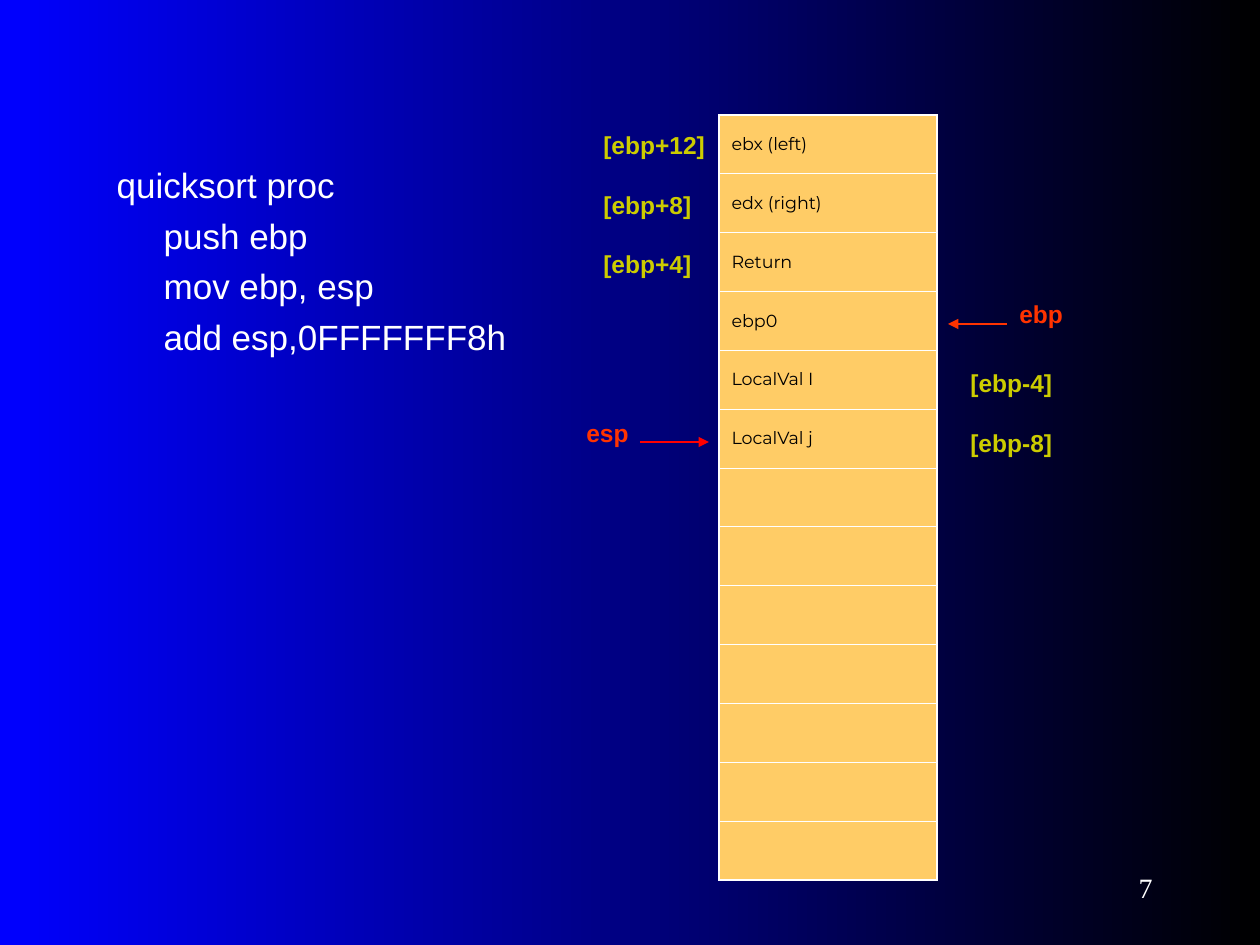
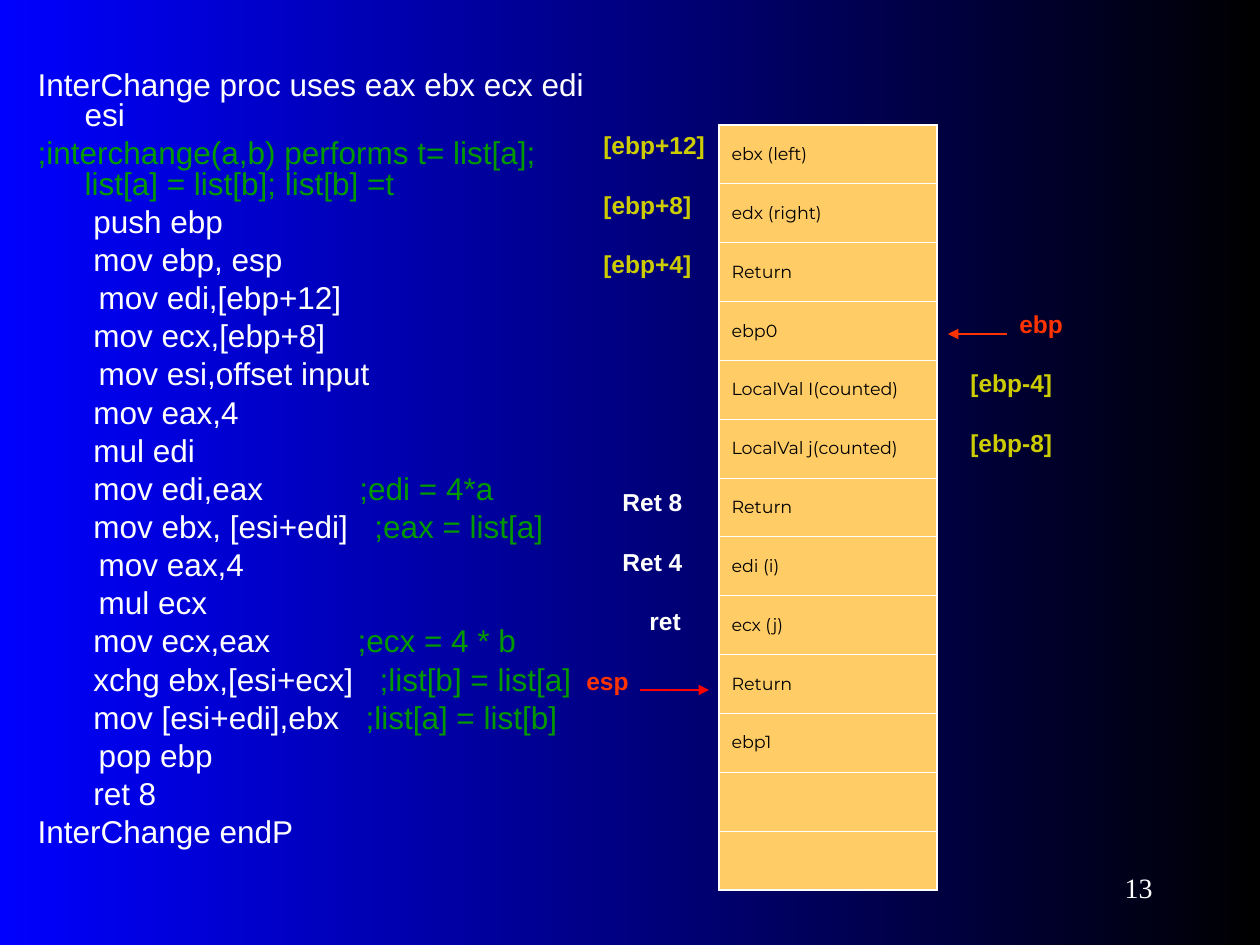
from typing import Any, NamedTuple

from lxml import etree
from pptx import Presentation
from pptx.dml.color import RGBColor
from pptx.enum.shapes import MSO_CONNECTOR
from pptx.enum.text import MSO_ANCHOR, MSO_AUTO_SIZE, PP_ALIGN
from pptx.oxml.ns import qn
from pptx.util import Emu, Pt

# Shared look
PX = 914400 / 126
WHITE = RGBColor(0xFF, 0xFF, 0xFF)
BLACK = RGBColor(0, 0, 0)
BLUE = RGBColor(0, 0, 0xFF)
GOLD = RGBColor(0xFF, 0xCC, 0x66)
OLIVE = RGBColor(0xCC, 0xCC, 0)
ORANGE = RGBColor(0xFF, 0x33, 0)
RED = RGBColor(0xFF, 0, 0)
GREEN = RGBColor(0, 0x99, 0)
STRAIGHT = MSO_CONNECTOR.STRAIGHT
MIDDLE, TOP = MSO_ANCHOR.MIDDLE, MSO_ANCHOR.TOP
RIGHT, LEFT = PP_ALIGN.RIGHT, PP_ALIGN.LEFT
FIXED = MSO_AUTO_SIZE.NONE
TAG = {"name": "Arial", "size": Pt(14), "bold": True}
CELL = {"name": "Montserrat", "size": Pt(10)}
PAGE = {"name": "Times New Roman", "size": Pt(16)}

# Stack grid
ROWS, STACK_X, STACK_W, STACK_H = 13, 719, 218, 765
TAG_Y, TAG_H = 115, 67
HANG, TAB, TABS = 47, 126, 8


class Label(NamedTuple):
    text: str
    left: int
    width: int
    row: int
    color: RGBColor


class Line(NamedTuple):
    code: str
    note: str = ""


class Page(NamedTuple):
    number: str
    box: tuple[int, int, int, int]
    size: int
    before: float
    pitch: float
    lines: list[Line]
    top: int
    cells: list[str]
    ebp: int
    esp: int
    labels: list[Label]


SHARED = [
    Label("[ebp+12]", 591, 166, 0, OLIVE),
    Label("[ebp+8]", 591, 118, 1, OLIVE),
    Label("[ebp+4]", 591, 137, 2, OLIVE),
    Label("[ebp-4]", 958, 118, 4, OLIVE),
    Label("[ebp-8]", 958, 149, 5, OLIVE),
]
RETURNS = [
    Label("Ret 8", 610, 110, 6, WHITE),
    Label("Ret 4", 610, 110, 7, WHITE),
    Label("ret", 637, 60, 8, WHITE),
]
FRAME = ["ebx (left)", "edx (right)", "Return", "ebp0"]

PAGES = [
    Page("7", (104, 157, 515, 620), 20, 5, 1.0, [
        Line("quicksort proc"),
        Line("\tpush ebp"),
        Line("\tmov ebp, esp"),
        Line("\tadd esp,0FFFFFFF8h"),
    ], 115, FRAME + ["LocalVal I", "LocalVal j"], 284, 403, SHARED),
    Page("13", (25, 66, 595, 843), 18, 4.5, 0.8, [
        Line("InterChange proc uses eax ebx ecx edi esi"),
        Line("", ";interchange(a,b) performs t= list[a]; "
                 "list[a] = list[b]; list[b] =t"),
        Line("\t push ebp"),
        Line("\t mov ebp, esp"),
        Line("       mov edi,[ebp+12]"),
        Line("\t mov ecx,[ebp+8]"),
        Line("       mov esi,offset input"),
        Line("\t mov eax,4"),
        Line("\t mul edi"),
        Line("\t mov edi,eax           ", ";edi = 4*a"),
        Line("\t mov ebx, [esi+edi]   ", ";eax = list[a]"),
        Line("       mov eax,4"),
        Line("       mul ecx"),
        Line("\t mov ecx,eax          ", ";ecx = 4 * b"),
        Line("\t xchg ebx,[esi+ecx]   ", ";list[b] = list[a]"),
        Line("\t mov [esi+edi],ebx   ", ";list[a] = list[b]"),
        Line("       pop ebp"),
        Line("\t ret 8"),
        Line("InterChange endP"),
    ], 125, FRAME + ["LocalVal I(counted)", "LocalVal j(counted)", "Return",
                     "edi (i)", "ecx (j)", "Return", "ebp1"],
         294, 651, SHARED + RETURNS),
]


def px(n: float) -> Emu:
    return Emu(round(n * PX))


def put(item: Any, vals: dict[str, Any]) -> None:
    for key, val in vals.items():
        setattr(item, key, val)


def write(par: Any, text: str, look: dict[str, Any], color: RGBColor) -> None:
    run = par.add_run()
    run.text = text
    put(run.font, look)
    run.font.color.rgb = color


# Code listing in the body placeholder
def listing(slide: Any, page: Page) -> None:
    slide.shapes.title.element.getparent().remove(slide.shapes.title.element)
    body = slide.placeholders[1]
    put(body, dict(zip(("left", "top", "width", "height"), map(px, page.box))))
    frame = body.text_frame
    put(frame, {"word_wrap": True, "auto_size": FIXED, "vertical_anchor": TOP})
    look = {"name": "Arial", "size": Pt(page.size)}
    for i, line in enumerate(page.lines):
        par = frame.add_paragraph() if i else frame.paragraphs[0]
        props = par._p.get_or_add_pPr()
        props.set("marL", str(px(HANG)))
        props.set("indent", str(px(-HANG)))
        etree.SubElement(props, qn("a:buNone"))
        tabs = etree.SubElement(props, qn("a:tabLst"))
        for n in range(TABS):
            etree.SubElement(tabs, qn("a:tab"), pos=str(px(n * TAB)), algn="l")
        put(par, {"alignment": LEFT, "line_spacing": page.pitch,
                  "space_before": Pt(page.before if i else 0)})
        for text, color in ((line.code, WHITE), (line.note, GREEN)):
            if text:
                write(par, text, look, color)


# Stack table
def edge(props: Any, side: str, width: float) -> None:
    line = etree.SubElement(props, qn("a:ln" + side), w=str(Pt(width)))
    fill = etree.SubElement(line, qn("a:solidFill"))
    etree.SubElement(fill, qn("a:srgbClr"), val=str(WHITE))


def stack(slide: Any, page: Page) -> None:
    table = slide.shapes.add_table(ROWS, 1, px(STACK_X), px(page.top),
                                   px(STACK_W), px(STACK_H)).table
    put(table, {"first_row": False, "horz_banding": False})
    for i in range(ROWS):
        table.rows[i].height = px(STACK_H / ROWS)
        cell = table.cell(i, 0)
        props = cell._tc.get_or_add_tcPr()
        ends = {"L": 1, "R": 1, "T": 0.5 if i else 1,
                "B": 0.5 if i < ROWS - 1 else 1}
        for side, width in ends.items():
            edge(props, side, width)
        cell.fill.solid()
        cell.fill.fore_color.rgb = GOLD
        cell.vertical_anchor = MIDDLE
        if i < len(page.cells):
            write(cell.text_frame.paragraphs[0], page.cells[i], CELL, BLACK)


# Labels and pointers
def label(slide: Any, text: str, left: int, top: int, width: int,
          color: RGBColor) -> None:
    box = slide.shapes.add_textbox(px(left), px(top), px(width), px(TAG_H))
    put(box.text_frame, {"word_wrap": True, "margin_top": px(19),
                         "margin_bottom": px(19)})
    write(box.text_frame.paragraphs[0], text, TAG, color)


def arrow(slide: Any, start: int, end: int, y: int, color: RGBColor) -> None:
    line = slide.shapes.add_connector(STRAIGHT, px(start), px(y), px(end), px(y))
    line.line.color.rgb = color
    line.line.width = Pt(0.75)
    etree.SubElement(line.line._get_or_add_ln(), qn("a:tailEnd"), type="triangle")
    etree.SubElement(line._element.spPr, qn("a:effectLst"))


def footer(slide: Any, number: str) -> None:
    box = slide.shapes.add_textbox(px(1029), px(861), px(136), px(53))
    put(box.text_frame, {"word_wrap": True, "vertical_anchor": MIDDLE})
    par = box.text_frame.paragraphs[0]
    par.alignment = RIGHT
    write(par, number, PAGE, WHITE)


def main() -> None:
    deck = Presentation()
    put(deck, {"slide_width": px(1260), "slide_height": px(945)})
    fill = deck.slide_master.background.fill
    fill.gradient()
    fill.gradient_angle = 180
    for stop, color, place in zip(fill.gradient_stops, (BLACK, BLUE), (0, 1)):
        stop.color.rgb = color
        stop.position = place
    for page in PAGES:
        slide = deck.slides.add_slide(deck.slide_layouts[1])
        listing(slide, page)
        stack(slide, page)
        arrow(slide, 640, 709, page.esp + 39, RED)
        label(slide, "esp", 574, page.esp, 86, ORANGE)
        arrow(slide, 1007, 948, page.ebp + 40, ORANGE)
        label(slide, "ebp", 1007, page.ebp, 86, ORANGE)
        for tag in page.labels:
            label(slide, tag.text, tag.left, TAG_Y + (tag.row * 119 + 1) // 2,
                  tag.width, tag.color)
        footer(slide, page.number)
    deck.save("out.pptx")


if __name__ == "__main__":
    main()
